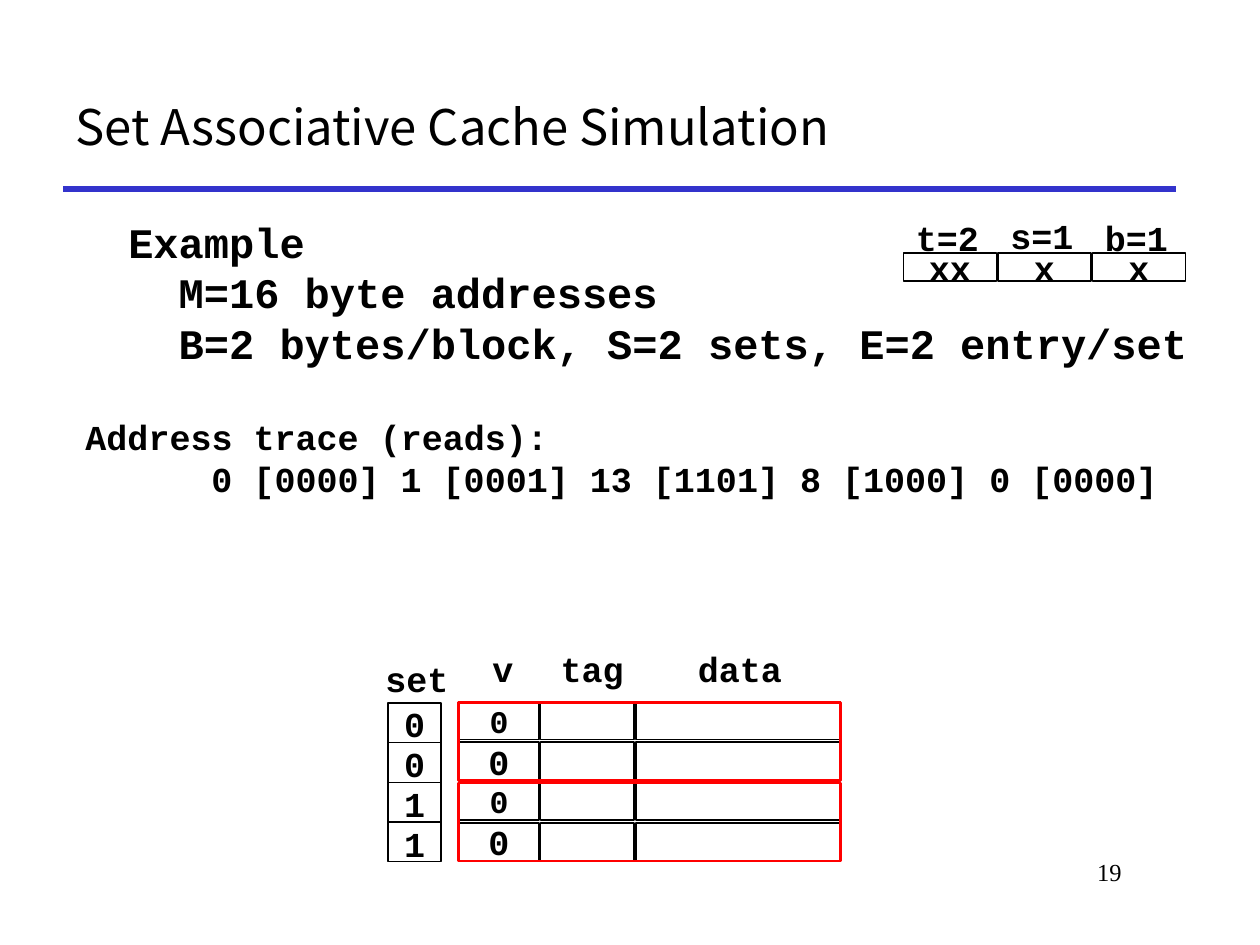
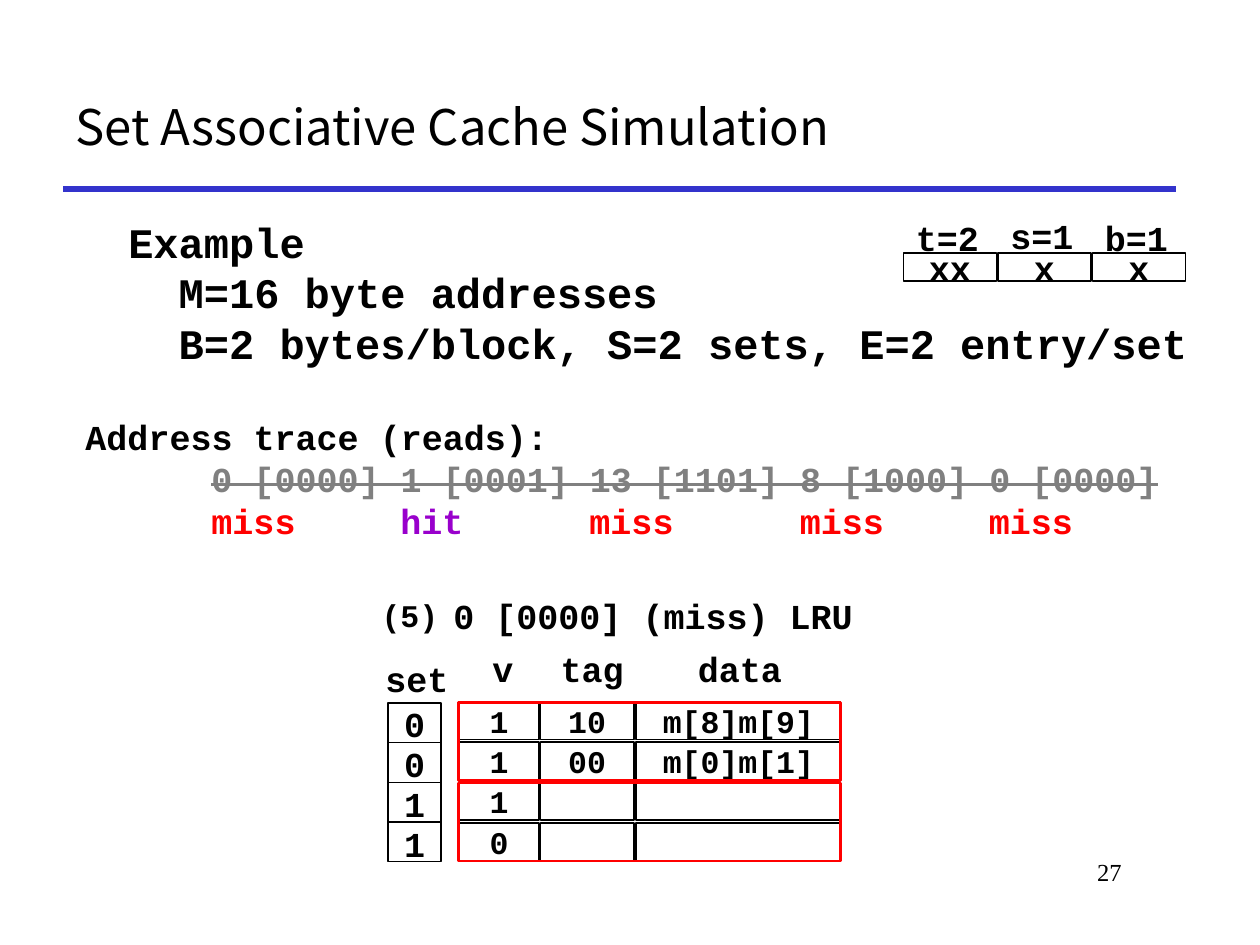
from dataclasses import dataclass
from typing import NamedTuple

from lxml.etree import SubElement as Sub
from pptx import Presentation
from pptx.dml.color import RGBColor as Rgb
from pptx.enum.shapes import MSO_CONNECTOR as Conn, MSO_SHAPE as Kind
from pptx.enum.text import MSO_ANCHOR as Anchor, PP_ALIGN as Align
from pptx.oxml.ns import qn
from pptx.util import Inches, Pt


@dataclass(frozen=True)
class Theme:
    ink: str = "000000"
    paper: str = "FFFFFF"
    rule: str = "3333CC"
    miss: str = "FF0000"
    hit: str = "9900CC"
    done: str = "808080"
    code: str = "Courier New"
    head: str = "Noto Sans CJK KR"
    foot: str = "Times New Roman"
    title: int = 28
    body: int = 24
    text: int = 20
    cell: int = 18
    page: int = 14


T = Theme()


class Box(NamedTuple):
    """Left, top, width and height on a grid of 100 columns by 75 rows."""
    x: float
    y: float
    w: float
    h: float

    def inner(self, x, y, w, h):
        """A box given in grid steps from this one's corner."""
        return Box(self.x + x, self.y + y, w, h)

    def emu(self):
        return [grid(n) for n in self]


def grid(n):
    return Inches(n / 10)


# Drawing helpers
def write(shape, *lines, size=T.text, font=T.code, color=T.ink, bold=True,
          align=Align.LEFT, anchor=Anchor.TOP, wrap=True, tabs=(), dents=()):
    """Each line is a string or a list of (text, color, struck) runs."""
    frame = shape.text_frame
    frame.word_wrap, frame.vertical_anchor = wrap, anchor
    for i, line in enumerate(lines):
        para = frame.paragraphs[0] if i == 0 else frame.add_paragraph()
        para.alignment = align
        prop = para._p.get_or_add_pPr()
        if dents:
            prop.set("marL", str(grid(dents[i])))
            prop.set("indent", "0")
        if tabs:
            stops = Sub(prop, qn("a:tabLst"))
            for stop in tabs:
                Sub(stops, qn("a:tab"), pos=str(grid(stop)), algn="l")
        runs = [(line, color, False)] if isinstance(line, str) else line
        for words, tint, struck in runs:
            run = para.add_run()
            run.text = words
            run.font.size, run.font.name, run.font.bold = Pt(size), font, bold
            run.font.color.rgb = Rgb.from_string(tint)
            if struck:
                run._r.get_or_add_rPr().set("strike", "sngStrike")


def label(slide, box, *lines, **form):
    write(slide.shapes.add_textbox(*box.emu()), *lines, **form)


def rect(slide, box, words="", fill=T.paper, line=T.ink, width=1, **form):
    shape = slide.shapes.add_shape(Kind.RECTANGLE, *box.emu())
    shape.shadow.inherit = False
    if fill:
        shape.fill.solid()
        shape.fill.fore_color.rgb = Rgb.from_string(fill)
    else:
        shape.fill.background()
    shape.line.color.rgb = Rgb.from_string(line)
    shape.line.width = Pt(width)
    if words:
        write(shape, words, align=Align.CENTER, anchor=Anchor.MIDDLE,
              wrap=False, **form)
    return shape


def rule(slide, x, y, w, color=T.ink, width=0.75):
    line = slide.shapes.add_connector(
        Conn.STRAIGHT, grid(x), grid(y), grid(x + w), grid(y))
    line.line.color.rgb = Rgb.from_string(color)
    line.line.width = Pt(width)
    Sub(line._element.spPr, qn("a:effectLst"))
    return line


# Title, rule and page number
def base(deck, page):
    slide = deck.slides.add_slide(deck.slide_layouts[5])
    box = Box(5, 5, 88.3, 10)
    title = slide.shapes.title
    title.left, title.top, title.width, title.height = box.emu()
    write(title, "Set Associative Cache Simulation", size=T.title,
          font=T.head, bold=False, anchor=Anchor.MIDDLE)
    rule(slide, box.x, box.y + box.h, box.w, T.rule, 3)
    label(slide, Box(75.8, 67.5, 14.2, 5), str(page), size=T.page,
          font=T.foot, bold=False, align=Align.RIGHT)
    return slide


# Cache parameters
def setup(slide, box):
    label(slide, box, "Example", "M=16 byte addresses",
          "B=2 bytes/block, S=2 sets, E=2 entry/set",
          size=T.body, dents=(0, 4, 4))


# Address trace, with results once the reads are done
def trace(slide, box, done):
    reads = "\t0 [0000] 1 [0001] 13 [1101] 8 [1000] 0 [0000]"
    lines = ["Address trace (reads):", reads]
    if done:
        lines[1] = [(reads[0], T.ink, False), (reads[1:], T.done, True)]
        lines.append([("\t" + word, T.hit if word == "hit" else T.miss, False)
                      for word in ("miss", "hit", "miss", "miss", "miss")])
    label(slide, box, *lines, tabs=(10, 25, 40, 56.7, 71.7))


# Split of an address into tag, set and offset bits
def bits(slide, box):
    step = box.w / 3
    fields = (("t=2", "xx", 0), ("s=1", "x", -0.2), ("b=1", "x", 0))
    for i, (name, mask, rise) in enumerate(fields):
        rect(slide, box.inner(i * step, 3.4, step - 0.1, 2.2), mask)
        label(slide, box.inner(i * step, rise, step, 4.3), name)


# Column of set numbers
def sets(slide, box):
    step = box.h / 4
    column = rect(slide, box, fill=None, width=0.75)
    for i, number in enumerate("0011"):
        if i:
            line = rule(slide, box.x, box.y + i * step, box.w)
            if i == 2:
                line.begin_connect(column, 1)
                line.end_connect(column, 3)
        label(slide, box.inner(0, i * step - 0.5, box.w, 4.3), number,
              align=Align.CENTER)
    label(slide, box.inner(-1.2, -4.1, 7.1, 4.4), "set")


# Cache lines, framed in red by set
def cache(slide, box, rows, sizes):
    step = box.h / 4
    columns = ((0, 6.4), (6.5, 7.4), (14.1, 16.2))
    for i, (row, size) in enumerate(zip(rows, sizes)):
        for (x, w), words in zip(columns, row):
            rect(slide, box.inner(x, i * step, w, step - 0.2), words,
                 size=size)
    for x, w, name in ((1.7, 3.7, "v"), (7.1, 7.1, "tag"), (18, 8.7, "data")):
        label(slide, box.inner(x, -4.8, w, 4.3), name)
    for i in range(2):
        rect(slide, box.inner(0, i * 2 * step + 0.05, box.w, 2 * step - 0.2),
             fill=None, line=T.miss, width=1.5)


# Read being served
def event(slide, box, number, words):
    label(slide, box.inner(0, 0.1, 6.5, 4), number, size=T.cell)
    label(slide, box.inner(5.7, 0, box.w - 5.7, 4.3), words)


def scene(deck, page, rows, sizes, step=None):
    slide = base(deck, page)
    setup(slide, Box(9.2, 16.7, 86.7, 13.3))
    trace(slide, Box(5.8, 32.5, 90.8, 11.1 if step else 7.7), bool(step))
    bits(slide, Box(71.7, 16.7, 22.5, 5.6))
    cache(slide, Box(36.4, 55.7, 30.3, 12.8), rows, sizes)
    sets(slide, Box(30.8, 55.8, 4.2, 12.6))
    if step:
        event(slide, Box(29.3, 46.7, 40, 4.3), *step)


def main():
    deck = Presentation()
    deck.slide_width, deck.slide_height = grid(100), grid(75)
    empty = ("0", "", "")
    scene(deck, 19, [empty] * 4, [T.cell, T.text] * 2)
    scene(deck, 27, [("1", "10", "m[8]m[9]"), ("1", "00", "m[0]m[1]"),
                     ("1", "", ""), empty], [T.cell] * 4,
          step=("(5)", "0 [0000] (miss) LRU"))
    deck.save("out.pptx")


if __name__ == "__main__":
    main()
